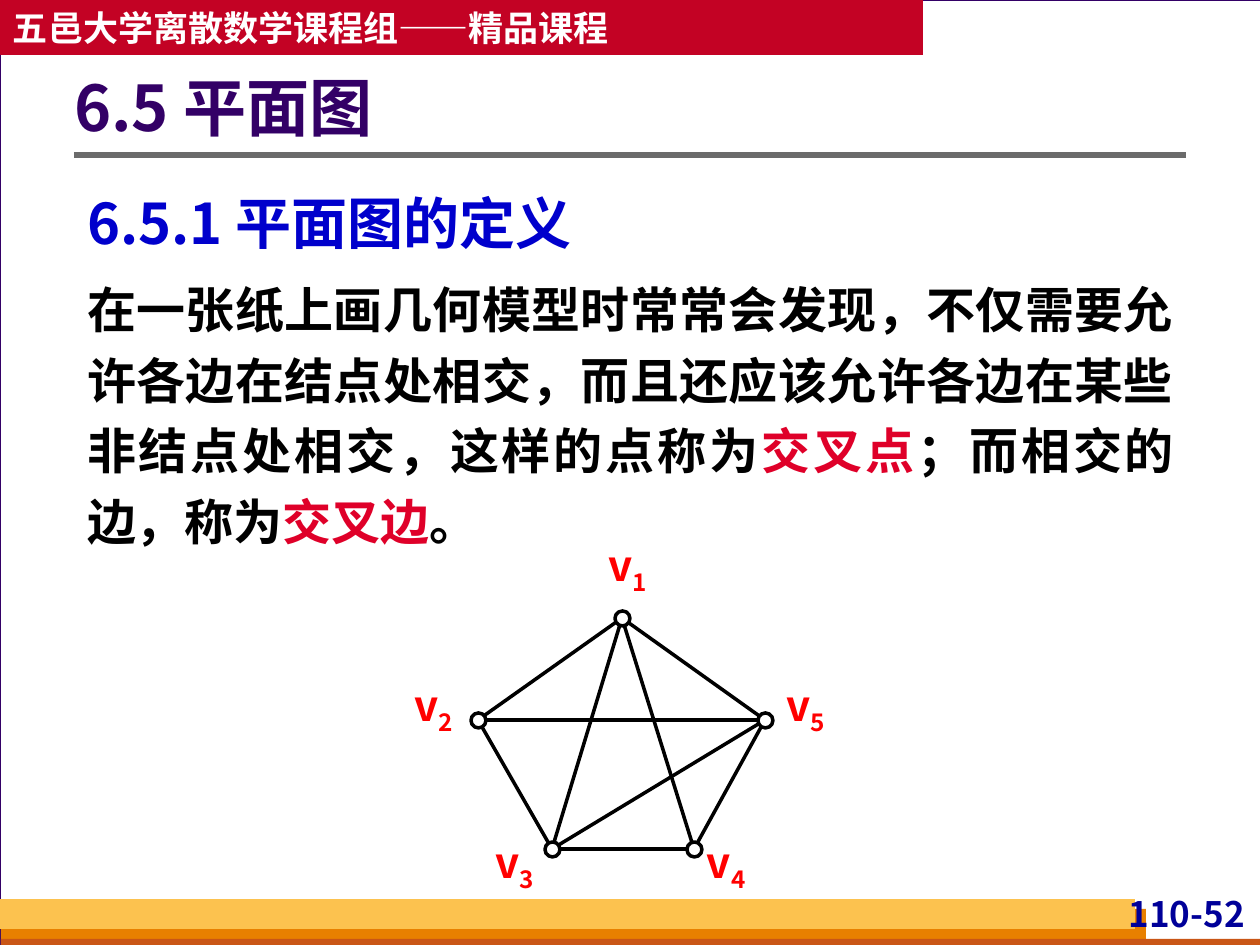
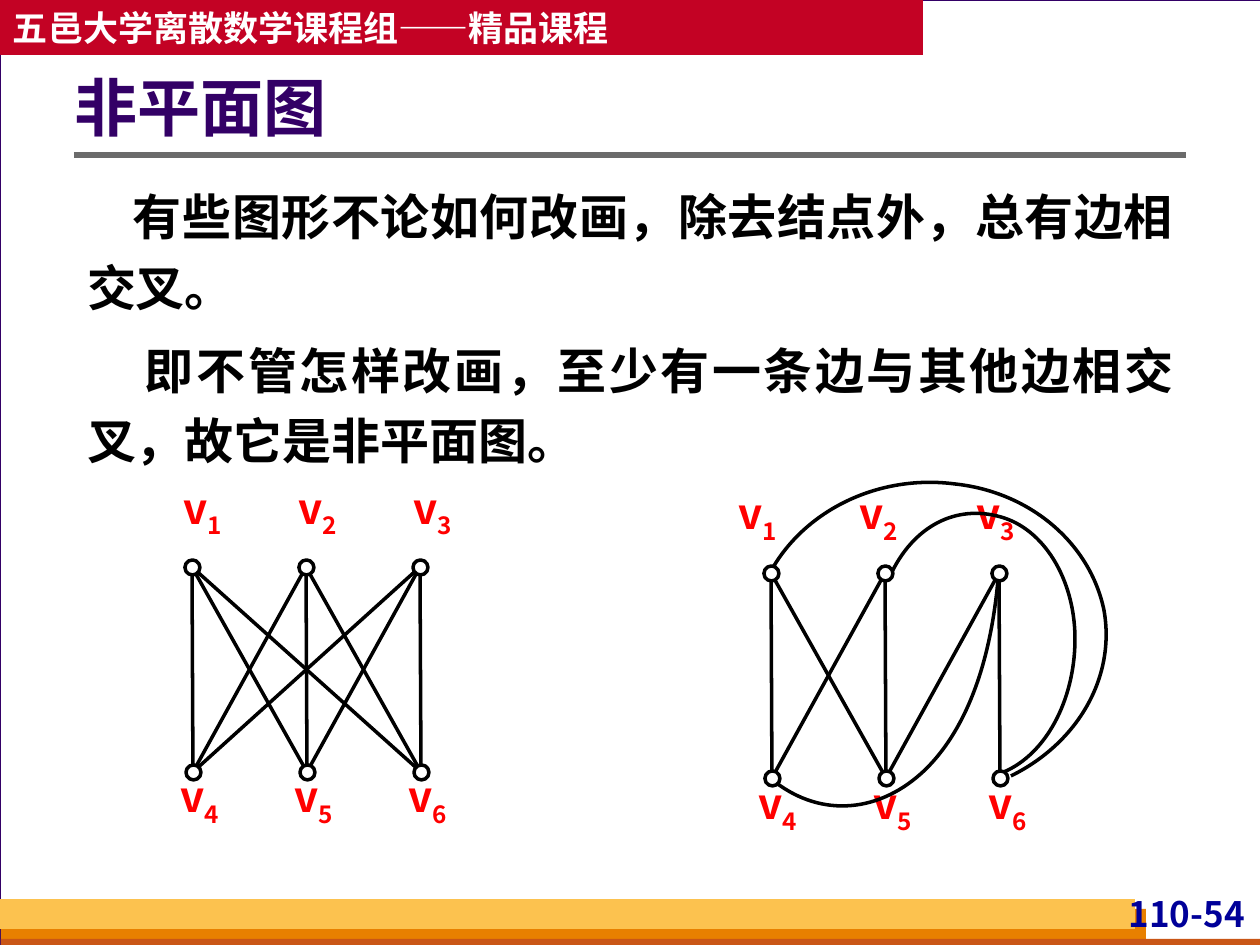
import dataclasses
import math

import lxml.etree
import pptx
import pptx.dml.color
import pptx.enum.shapes
import pptx.enum.text
import pptx.oxml.ns
import pptx.util

EMU_PER_PX = 914400 / 126
NODE_RADIUS = 7
ALIGN = pptx.enum.text.PP_ALIGN
ANCHOR = pptx.enum.text.MSO_ANCHOR
SHAPE = pptx.enum.shapes.MSO_SHAPE
qn = pptx.oxml.ns.qn


@dataclasses.dataclass(frozen=True)
class Theme:
    face: str = "Noto Sans CJK SC"
    backdrop: str = "D8DADA"
    paper: str = "FFFFFF"
    ink: str = "000000"
    title: str = "330066"
    heading: str = "0000CC"
    term: str = "DF0029"
    vertex: str = "FF0000"
    page: str = "000099"
    banner: str = "C30224"
    rule: str = "6B6B6B"
    amber: str = "FCC24F"
    orange: str = "E88000"
    rust: str = "C95616"
    title_size: int = 36
    heading_size: int = 32
    body_size: int = 28
    label_size: int = 24
    small_size: int = 20


def px(length):
    return pptx.util.Emu(round(length * EMU_PER_PX))


def rgb(colour):
    return pptx.dml.color.RGBColor.from_string(colour)


def trimmed(start, end):
    """Ends of an edge that stops at the rims of its two nodes."""
    share = NODE_RADIUS / math.dist(start, end)
    dx, dy = (end[axis] - start[axis] for axis in (0, 1))
    return ((start[0] + dx * share, start[1] + dy * share),
            (end[0] - dx * share, end[1] - dy * share))


class Deck:
    def __init__(self, theme):
        self.theme = theme
        self.prs = pptx.Presentation()
        self.prs.slide_width, self.prs.slide_height = px(1260), px(945)
        background = self.prs.slide_master.background.fill
        background.solid()
        background.fore_color.rgb = rgb(theme.backdrop)
        self.layout = self.prs.slide_layouts[1]
        self.slide = None

    def new_slide(self, title, page):
        theme = self.theme
        self.slide = self.prs.slides.add_slide(self.layout)
        if len(self.prs.slides) == 1:
            self.frame()
        heading = self.slide.shapes.title
        self.place(heading, (74, 48, 1111, 127))
        paragraph = self.text_frame(heading, (0, 6, 13, 6), ANCHOR.MIDDLE).paragraphs[0]
        paragraph.alignment = ALIGN.LEFT
        paragraph.line_spacing = 0.9
        self.run(paragraph, title, theme.title_size, theme.title)
        number = self.textbox((1096, 892, 154, 42), ALIGN.RIGHT, (5, 0, 5, 0))
        self.run(number, page, theme.small_size, theme.page)

    def frame(self):
        """Draws the shared page furniture and hands it to the layout."""
        theme = self.theme
        paper = self.shape(SHAPE.RECTANGLE, (0, 0, 1261, 945), theme.paper, theme.title, 0.75)
        banner = self.shape(SHAPE.RECTANGLE, (0, 0, 923, 55), theme.banner)
        paragraph = self.text_frame(banner, (13, 6, 13, 6), ANCHOR.MIDDLE).paragraphs[0]
        paragraph.alignment = ALIGN.LEFT
        self.run(paragraph, "五邑大学离散数学课程组——精品课程", theme.small_size, theme.paper)
        parts = [paper, banner]
        for box, colour in (((1, 909, 1145, 36), theme.orange), ((1, 939, 1260, 10), theme.rust),
                            ((0, 899, 1135, 30), theme.amber)):
            parts.append(self.shape(SHAPE.RECTANGLE, box, colour))
        parts.append(self.line((74, 155), (1186, 155), theme.rule, 3))
        for part in parts:
            self.layout.shapes._spTree.append(part._element)

    def place(self, item, box):
        item.left, item.top, item.width, item.height = map(px, box)

    def text_frame(self, item, margins, anchor=ANCHOR.TOP):
        frame = item.text_frame
        frame.word_wrap = True
        frame.auto_size = pptx.enum.text.MSO_AUTO_SIZE.NONE
        frame.vertical_anchor = anchor
        (frame.margin_left, frame.margin_top,
         frame.margin_right, frame.margin_bottom) = map(px, margins)
        return frame

    def textbox(self, box, align, margins=(0, 0, 0, 0)):
        item = self.slide.shapes.add_textbox(*map(px, box))
        paragraph = self.text_frame(item, margins).paragraphs[0]
        paragraph.alignment = align
        return paragraph

    def run(self, paragraph, text, size, colour, subscript=False):
        run = paragraph.add_run()
        run.text = text
        font = run.font
        font.size, font.bold, font.name = pptx.util.Pt(size), True, self.theme.face
        font.color.rgb = rgb(colour)
        properties = run._r.get_or_add_rPr()
        lxml.etree.SubElement(properties, qn("a:ea")).set("typeface", self.theme.face)
        if subscript:
            properties.set("baseline", "-25000")

    def body(self, height, paragraphs):
        """paragraphs are (first-line indent, [(text, size, colour)])."""
        holder = self.slide.placeholders[1]
        self.place(holder, (74, 169, 1112, height))
        frame = self.text_frame(holder, (13, 6, 12, 6))
        for index, (indent, runs) in enumerate(paragraphs):
            paragraph = frame.add_paragraph() if index else frame.paragraphs[0]
            properties = paragraph._p.get_or_add_pPr()
            properties.set("marL", "0")
            properties.set("indent", str(px(indent)))
            properties.set("hangingPunct", "0")
            lxml.etree.SubElement(properties, qn("a:buNone"))
            paragraph.alignment = ALIGN.JUSTIFY
            paragraph.line_spacing = 1.2
            paragraph.space_before = pptx.util.Pt(7 if index else 0)
            for text, size, colour in runs:
                self.run(paragraph, text, size, colour)

    def shape(self, kind, box, fill, outline=None, weight=2):
        item = self.slide.shapes.add_shape(kind, *map(px, box))
        item.shadow.inherit = False
        item.fill.solid()
        item.fill.fore_color.rgb = rgb(fill)
        if outline:
            item.line.color.rgb = rgb(outline)
            item.line.width = pptx.util.Pt(weight)
        else:
            item.line.fill.background()
        return item

    def line(self, start, end, colour, weight=2):
        item = self.slide.shapes.add_connector(
            pptx.enum.shapes.MSO_CONNECTOR.STRAIGHT, *map(px, (*start, *end)))
        item.line.color.rgb = rgb(colour)
        item.line.width = pptx.util.Pt(weight)
        lxml.etree.SubElement(item._element.spPr, qn("a:effectLst"))
        return item

    def curve(self, box, points):
        """Draws joined cubic curves (a start, then three points each) in the box of their sector."""
        builder = self.slide.shapes.build_freeform(*points[0], scale=EMU_PER_PX)
        builder.add_line_segments(points[1:], close=False)
        item = builder.convert_to_shape()
        self.place(item, box)
        outline = item._element.spPr.find(".//" + qn("a:path"))
        outline.set("w", str(px(box[2])))
        outline.set("h", str(px(box[3])))
        corners = list(outline.iter(qn("a:pt")))
        for corner, (x, y) in zip(corners, points):
            corner.set("x", str(px(x - box[0])))
            corner.set("y", str(px(y - box[1])))
        for segment in outline.findall(qn("a:lnTo")):
            outline.remove(segment)
        for first in range(1, len(corners), 3):
            lxml.etree.SubElement(outline, qn("a:cubicBezTo")).extend(corners[first:first + 3])
        item.shadow.inherit = False
        item.fill.background()
        item.line.color.rgb = rgb(self.theme.ink)
        item.line.width = pptx.util.Pt(2)

    def graph(self, vertices, labels, edges, align, arcs=()):
        """Draws a graph; edges such as "14" join numbered vertices."""
        theme = self.theme
        for number, (left, top) in enumerate(labels, 1):
            label = self.textbox((left, top, 59, 58), align)
            self.run(label, "v", theme.label_size, theme.vertex)
            self.run(label, str(number), theme.label_size, theme.vertex, subscript=True)
        for start, end in edges.split():
            ends = trimmed(vertices[int(start) - 1], vertices[int(end) - 1])
            self.line(*ends, theme.ink)
        for box, points in arcs:
            self.curve(box, points)
        for x, y in vertices:
            self.shape(SHAPE.OVAL, (x - NODE_RADIUS, y - NODE_RADIUS, 15, 15),
                       theme.paper, theme.ink)


def row(left, top, step=114):
    return [(left + step * column, top) for column in range(3)]


def planar_slide(deck):
    theme = deck.theme
    size, ink, term = theme.body_size, theme.ink, theme.term
    deck.new_slide("6.5 平面图", "110-52")
    deck.body(388, [
        (0, [("6.5.1 平面图的定义", theme.heading_size, theme.heading)]),
        (0, [("在一张纸上画几何模型时常常会发现，不仅需要允许各边在结点处相交，"
              "而且还应该允许各边在某些非结点处相交，这样的点称为", size, ink),
             ("交叉点", size, term),
             ("；而相交的边，称为", size, ink),
             ("交叉边", size, term),
             ("。", size, ink)]),
    ])
    deck.graph(
        vertices=[(622, 618), (478, 720), (552, 849), (694, 849), (765, 720)],
        labels=[(608, 539), (414, 679), (495, 836), (707, 836), (786, 679)],
        edges="25 13 14 35 12 45 34 15 23", align=ALIGN.LEFT)


def nonplanar_slide(deck):
    size, ink = deck.theme.body_size, deck.theme.ink
    deck.new_slide("非平面图", "110-54")
    deck.body(307, [
        (46, [("有些图形不论如何改画，除去结点外，总有边相交叉。", size, ink)]),
        (58, [("即不管怎样改画，至少有一条边与其他边相交叉，故它是非平面图。", size, ink)]),
    ])
    deck.graph(
        vertices=row(192, 567) + row(193, 772),
        labels=row(173, 482, 115) + row(170, 771),
        edges="14 15 16 24 25 26 34 35 36", align=ALIGN.CENTER)
    arc_3_4 = ((678, 229, 323, 576),
               [(775, 782), (822, 818), (880, 813), (925, 770),
                (964, 732), (990, 668), (998, 580)])
    arc_2_6 = ((874, 513, 200, 263),
               [(1004, 772), (1046, 754), (1074, 701), (1075, 642), (1076, 584),
                (1047, 532), (1004, 518), (961, 504), (917, 522), (892, 572)])
    arc_1_6 = ((753, 483, 353, 312),
               [(771, 571), (805, 510), (879, 474), (955, 484), (1030, 492),
                (1090, 543), (1104, 610), (1116, 677), (1078, 743), (1011, 776)])
    deck.graph(
        vertices=row(771, 573) + row(772, 778),
        labels=[(728, 488), (849, 488), (966, 488)] + row(748, 778, 115),
        edges="14 15 24 25 35 36", align=ALIGN.CENTER,
        arcs=(arc_3_4, arc_2_6, arc_1_6))


def main():
    deck = Deck(Theme())
    planar_slide(deck)
    nonplanar_slide(deck)
    deck.prs.save("out.pptx")


if __name__ == "__main__":
    main()
